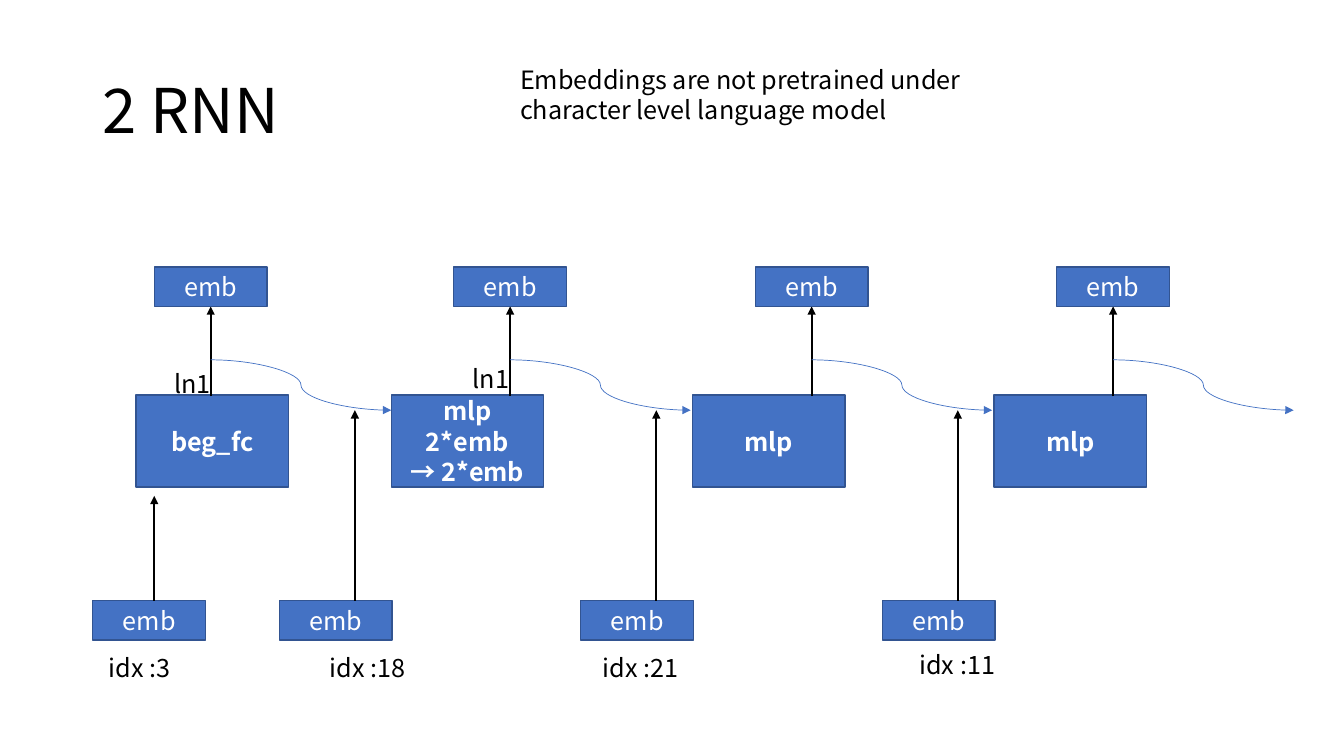
import pptx
import pptx.util
import pptx.dml.color
import pptx.enum.shapes
import pptx.enum.text
import pptx.oxml.ns
from lxml import etree
from pptx.util import Inches

BLACK = pptx.dml.color.RGBColor(0x00, 0x00, 0x00)
WHITE = pptx.dml.color.RGBColor(0xFF, 0xFF, 0xFF)
BLUE = pptx.dml.color.RGBColor(0x44, 0x72, 0xC4)
DARK_BLUE = pptx.dml.color.RGBColor(0x32, 0x54, 0x91)
FONT = "Noto Sans CJK KR"
CONNECTOR = pptx.enum.shapes.MSO_CONNECTOR
ANCHOR = pptx.enum.text.MSO_ANCHOR
ALIGN = pptx.enum.text.PP_ALIGN

prs = pptx.Presentation()
prs.slide_width, prs.slide_height = Inches(13.33), Inches(7.5)
slide = prs.slides.add_slide(prs.slide_layouts[6])


def add_label(left, top, width, height, text, filled=False, size=18, bold=False,
              anchor=ANCHOR.TOP, spacing=None):
    """Add a centred blue block if filled, otherwise a plain text box."""
    place = [Inches(v) for v in (left, top, width, height)]
    if filled:
        label = slide.shapes.add_shape(pptx.enum.shapes.MSO_SHAPE.RECTANGLE, *place)
        label.shadow.inherit = False
        label.fill.solid()
        label.fill.fore_color.rgb = BLUE
        label.line.color.rgb = DARK_BLUE
        label.line.width = pptx.util.Pt(1)
        anchor = ANCHOR.MIDDLE
    else:
        label = slide.shapes.add_textbox(*place)
    label.text_frame.word_wrap = True
    label.text_frame.vertical_anchor = anchor
    label.text_frame.text = text
    font_format = {"name": FONT, "size": pptx.util.Pt(size), "bold": bold}
    for paragraph in label.text_frame.paragraphs:
        paragraph.alignment = ALIGN.CENTER if filled else ALIGN.LEFT
        paragraph.line_spacing = spacing
        for run in paragraph.runs:
            for key, value in font_format.items():
                setattr(run.font, key, value)
            run.font.color.rgb = WHITE if filled else BLACK
            east_asian = etree.SubElement(run.font._element, pptx.oxml.ns.qn("a:ea"))
            east_asian.set("typeface", FONT)


def add_arrow(kind, x1, y1, x2, y2, color, width):
    arrow = slide.shapes.add_connector(kind, *[Inches(v) for v in (x1, y1, x2, y2)])
    arrow.line.color.rgb = color
    arrow.line.width = pptx.util.Pt(width)
    line = arrow.line._get_or_add_ln()
    etree.SubElement(line, pptx.oxml.ns.qn("a:tailEnd")).set("type", "triangle")
    etree.SubElement(arrow._element.spPr, pptx.oxml.ns.qn("a:effectLst"))


add_label(0.92, 0.4, 11.5, 1.45, "2 RNN", size=44, anchor=ANCHOR.MIDDLE, spacing=0.9)

# output x, cell left, cell text, input left, input arrow x, input arrow tip y
steps = [(2.09, 1.35, "beg_fc", 0.92, 1.53, 4.92)]
for output_x, cell_text in ((5.06, "mlp\n2*emb\n→ 2*emb"), (8.05, "mlp"), (11.04, "mlp")):
    steps.append((output_x, output_x - 1.18, cell_text,
                  output_x - 2.29, output_x - 1.54, 4.07))

for output_x, cell_left, cell_text, input_left, input_x, input_tip in steps:
    add_label(cell_left, 3.92, 1.51, 0.91, cell_text, filled=True, bold=True)
    add_arrow(CONNECTOR.STRAIGHT, output_x, 3.93, output_x, 3.04, BLACK, 1.5)
    add_label(output_x - 0.56, 2.65, 1.12, 0.39, "emb", filled=True)
    add_label(input_left, 5.96, 1.12, 0.39, "emb", filled=True)
    add_arrow(CONNECTOR.STRAIGHT, input_x, 5.96, input_x, input_tip, BLACK, 1.5)
    add_arrow(CONNECTOR.CURVE, output_x, 3.57, output_x + 1.79, 4.07, BLUE, 0.5)

for left, top, width, height, caption in (
    (1.63, 3.6, 0.61, 0.4, "ln1"),
    (4.59, 3.56, 0.61, 0.4, "ln1"),
    (0.98, 6.42, 1.12, 0.4, "idx :3"),
    (3.17, 6.42, 0.95, 0.4, "idx :18"),
    (5.88, 6.42, 1.12, 0.4, "idx :21"),
    (9.02, 6.39, 1.12, 0.4, "idx :11"),
    (5.06, 0.59, 4.67, 0.71,
     "Embeddings are not pretrained under character level language model"),
):
    add_label(left, top, width, height, caption)

prs.save("out.pptx")
